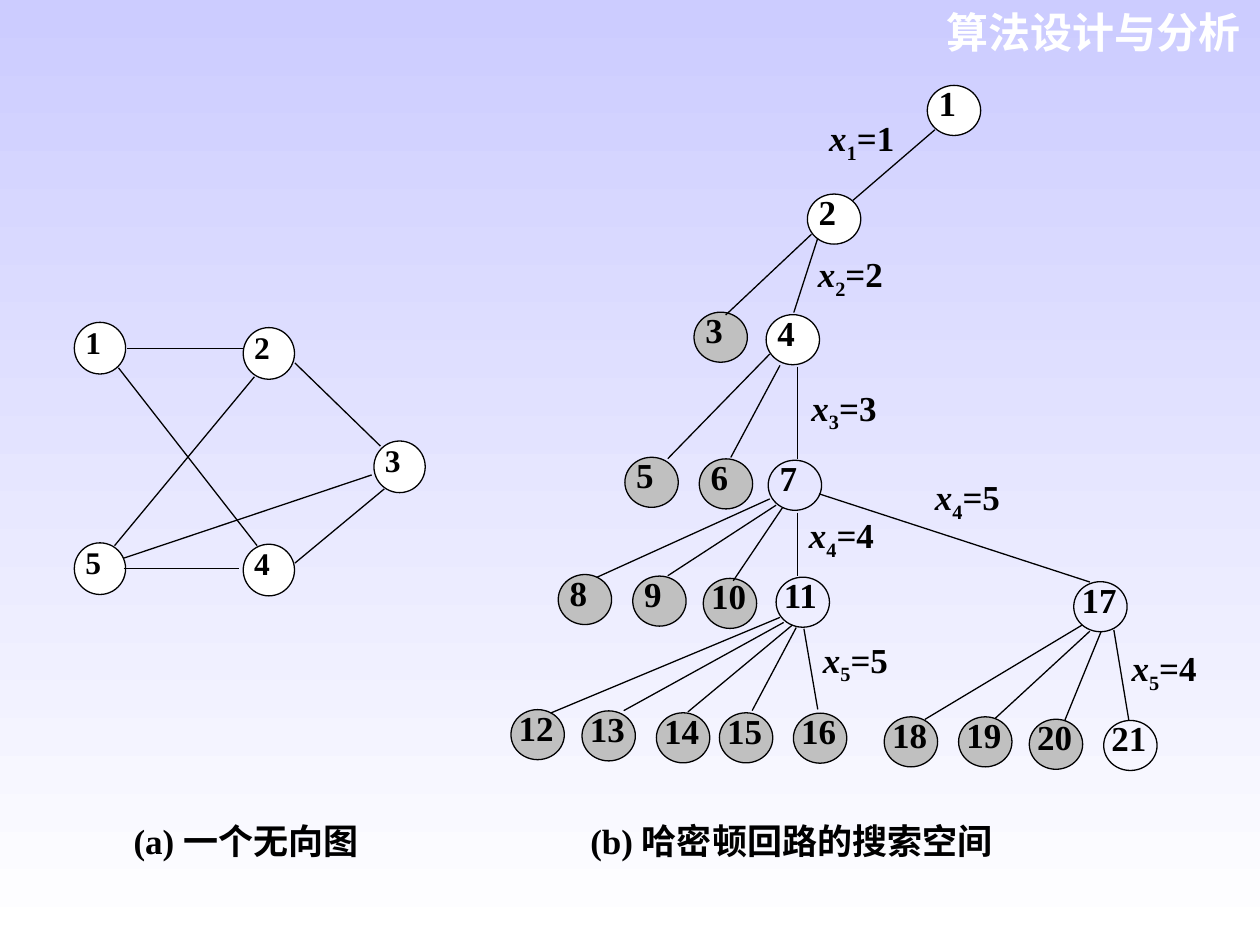
"""Build the Hamiltonian circuit slide: an undirected graph and its search tree."""
from lxml import etree
from pptx import Presentation
from pptx.dml.color import RGBColor
from pptx.enum import shapes, text
from pptx.oxml import ns
from pptx.util import Pt

BLACK = RGBColor(0, 0, 0)
WHITE = RGBColor(255, 255, 255)
GREY = RGBColor(0xC0, 0xC0, 0xC0)
LILAC = RGBColor(0xCC, 0xCC, 0xFF)
SERIF = "Times New Roman"

HEADER = "算法设计与分析"
CAPTIONS = ("(a) 一个无向图", "(b) 哈密顿回路的搜索空间")
CAPTION_TAB = 261

GRAPH_NODES = {1: (42.5, 184.2), 2: (139, 187.2), 3: (213.7, 252), 4: (139, 311), 5: (42.5, 310.2)}
GRAPH_EDGES = [
    (72.7, 199.3, 139, 199.3), (212.4, 271.4, 70.6, 319), (70.6, 324.9, 136.8, 324.9),
    (145.4, 215.3, 65.5, 311.8), (168.5, 207.4, 217.4, 254.9), (219.6, 279.4, 168.5, 321.8),
    (67.7, 210.2, 146.9, 311.8),
]

TREE_NODES = {
    1: (529.9, 48.8), 2: (461.4, 110.9),
    3: (396.6, 178.4), 4: (437.8, 179.8),
    5: (357.1, 261.3), 6: (399.6, 262.2), 7: (439, 263),
    8: (319, 328.3), 9: (361.6, 329.2), 10: (401.9, 330.5), 11: (443.5, 329.8), 17: (613.6, 332.4),
    12: (292, 405.5), 13: (332.6, 406.2), 14: (375.1, 407.3), 15: (411.1, 407.3), 16: (453.4, 407.5),
    18: (505.3, 409.6), 19: (547.8, 409.6), 20: (588.2, 411), 21: (630.7, 411.7),
}
OPEN_NODES = {7, 11, 17, 21}
WHITE_NODES = {1, 2, 4}
TREE_EDGES = [
    (534.2, 74.2, 487.4, 114.5),
    (463.7, 133.9, 414.7, 180), (467.3, 136.1, 453.6, 178.6),
    (439.9, 202.3, 381.6, 262.1), (445.7, 208.8, 417.6, 261.4), (455.8, 209.5, 455.8, 262.1),
    (439.9, 285.1, 341.3, 329.8), (443.5, 288.7, 381.6, 329), (447.1, 290.2, 419, 331.9),
    (455.8, 293, 455.8, 329), (468, 282.2, 622.8, 332.6),
    (445.7, 352.8, 314.6, 407.5), (447.8, 355.7, 356.4, 406.1), (452.9, 357.1, 393.1, 406.8),
    (455, 358.6, 429.8, 406.1), (459.4, 359.3, 467.3, 405.4),
    (618.5, 357.1, 528.5, 411.1), (622.8, 360.7, 568.8, 410.4), (629.3, 360.7, 608.4, 411.8),
    (636.5, 360, 645.1, 411.8),
]
CHOICES = [
    (1, 1, 473.8, 69.1), (2, 2, 467.3, 146.9), (3, 3, 463.7, 223.2), (4, 4, 462.2, 295.9),
    (4, 5, 534.2, 274.3), (5, 5, 470.2, 367.2), (5, 4, 646.6, 372.2),
]


def add_run(p, content, size, color=BLACK, font=SERIF):
    r = p.add_run()
    r.text = content
    r.font.name, r.font.size, r.font.bold = font, Pt(size), True
    r.font.color.rgb = color
    return r


def prepare(sp, left=0, spacing=None):
    tf = sp.text_frame
    tf.word_wrap = True
    tf.vertical_anchor = text.MSO_ANCHOR.TOP
    tf.margin_left = Pt(left)
    tf.margin_top = tf.margin_right = tf.margin_bottom = 0
    p = tf.paragraphs[0]
    p.alignment = text.PP_ALIGN.JUSTIFY
    if spacing:
        p.line_spacing = spacing
    return p


def add_box(s, x, y, w, h, spacing=None):
    return prepare(s.shapes.add_textbox(Pt(x), Pt(y), Pt(w), Pt(h)), spacing=spacing)


def add_node(s, number, at, w, h, size, spacing, fill):
    sp = s.shapes.add_shape(shapes.MSO_SHAPE.OVAL, Pt(at[0]), Pt(at[1]), Pt(w), Pt(h))
    sp.shadow.inherit = False
    if fill is None:
        sp.fill.background()
    else:
        sp.fill.solid()
        sp.fill.fore_color.rgb = fill
    sp.line.color.rgb = BLACK
    sp.line.width = Pt(0.75)
    p = prepare(sp, 2 if number < 10 else 0, spacing)
    add_run(p, str(number), size)


def add_edge(s, ends):
    line = s.shapes.add_connector(shapes.MSO_CONNECTOR.STRAIGHT, *(Pt(v) for v in ends))
    line.line.color.rgb = BLACK
    line.line.width = Pt(0.75)
    etree.SubElement(line._element.spPr, ns.qn("a:effectLst"))


def add_choice(s, index, value, x, y):
    p = add_box(s, x, y, 42.5, 24, 0.8)
    add_run(p, "x", 20).font.italic = True
    sub = add_run(p, str(index), 20)
    sub.font._element.set("baseline", "-25000")
    add_run(p, f"={value}", 20)


def tree_fill(number):
    if number in OPEN_NODES:
        return None
    return WHITE if number in WHITE_NODES else GREY


def main():
    prs = Presentation()
    prs.slide_width, prs.slide_height = Pt(720), Pt(540)
    s = prs.slides.add_slide(prs.slide_layouts[6])
    bg = s.background.fill
    bg.gradient()
    bg.gradient_angle = 270
    for stop, color in zip(bg.gradient_stops, (LILAC, WHITE)):
        stop.color.rgb = color

    p = add_box(s, 528.5, 3.6, 180.4, 28.8)
    p.alignment = text.PP_ALIGN.RIGHT
    add_run(p, HEADER, 24, WHITE, "Arial")

    for number, at in GRAPH_NODES.items():
        add_node(s, number, at, 29.3, 29.5, 18, 0.8, WHITE)
    for number, at in TREE_NODES.items():
        add_node(s, number, at, 30.5, 28.6, 20, 0.72, tree_fill(number))
    for ends in GRAPH_EDGES + TREE_EDGES:
        add_edge(s, ends)
    for choice in CHOICES:
        add_choice(s, *choice)

    p = add_box(s, 76.3, 468, 538.6, 34.6)
    tabs = etree.SubElement(p._p.get_or_add_pPr(), ns.qn("a:tabLst"))
    etree.SubElement(tabs, ns.qn("a:tab"), pos=str(Pt(CAPTION_TAB)), algn="l")
    add_run(p, "\t".join(CAPTIONS), 20)
    prs.save("out.pptx")


if __name__ == "__main__":
    main()
